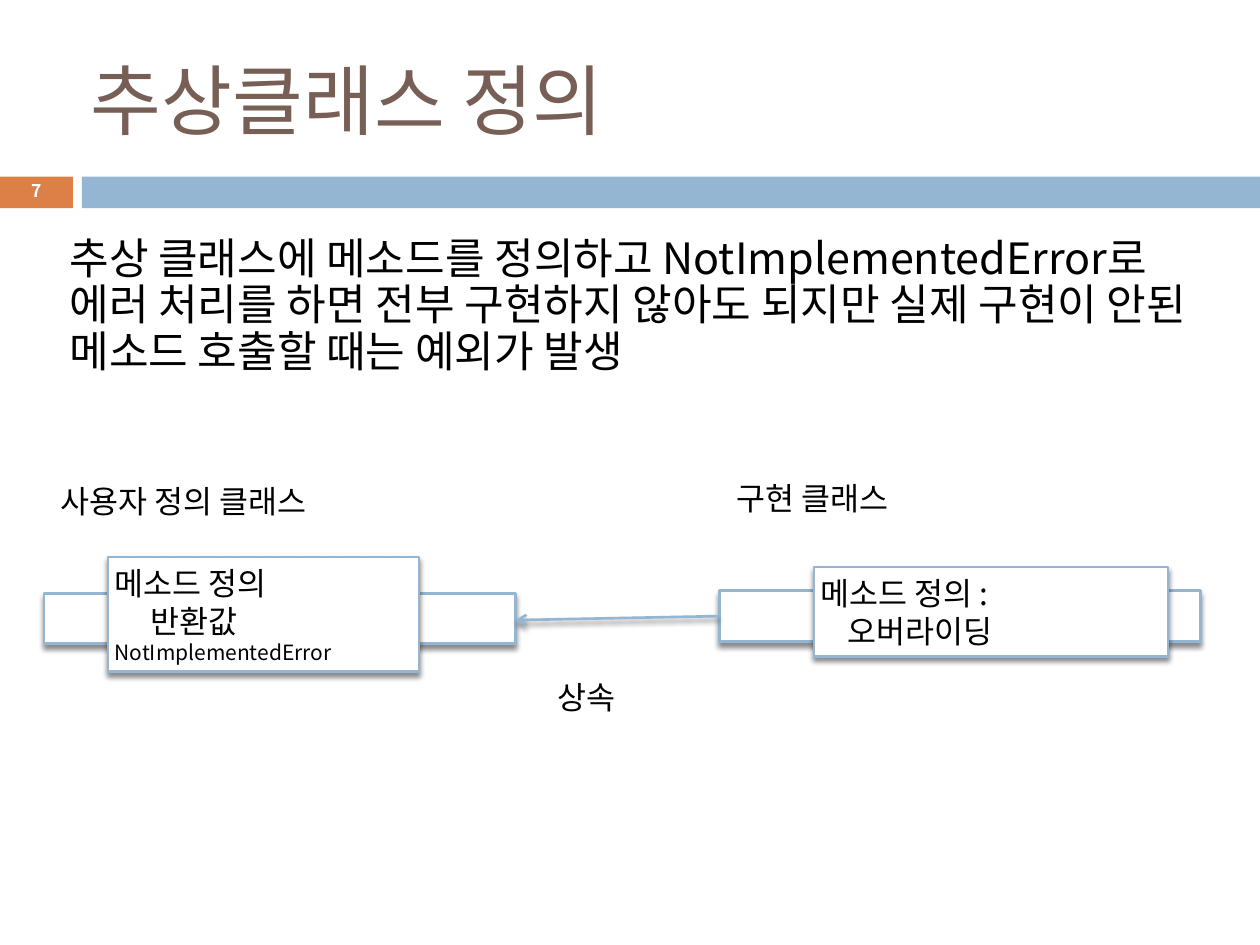
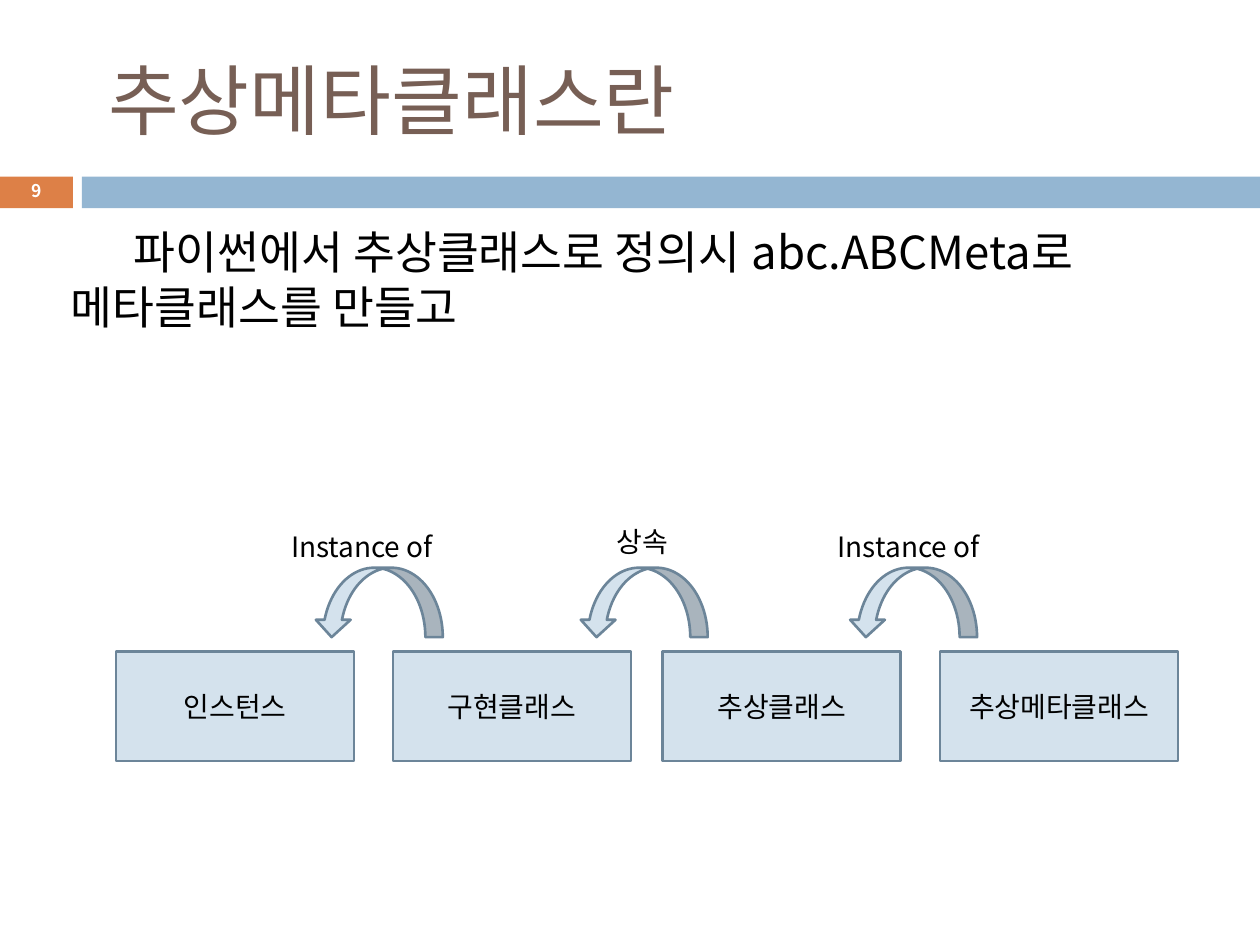
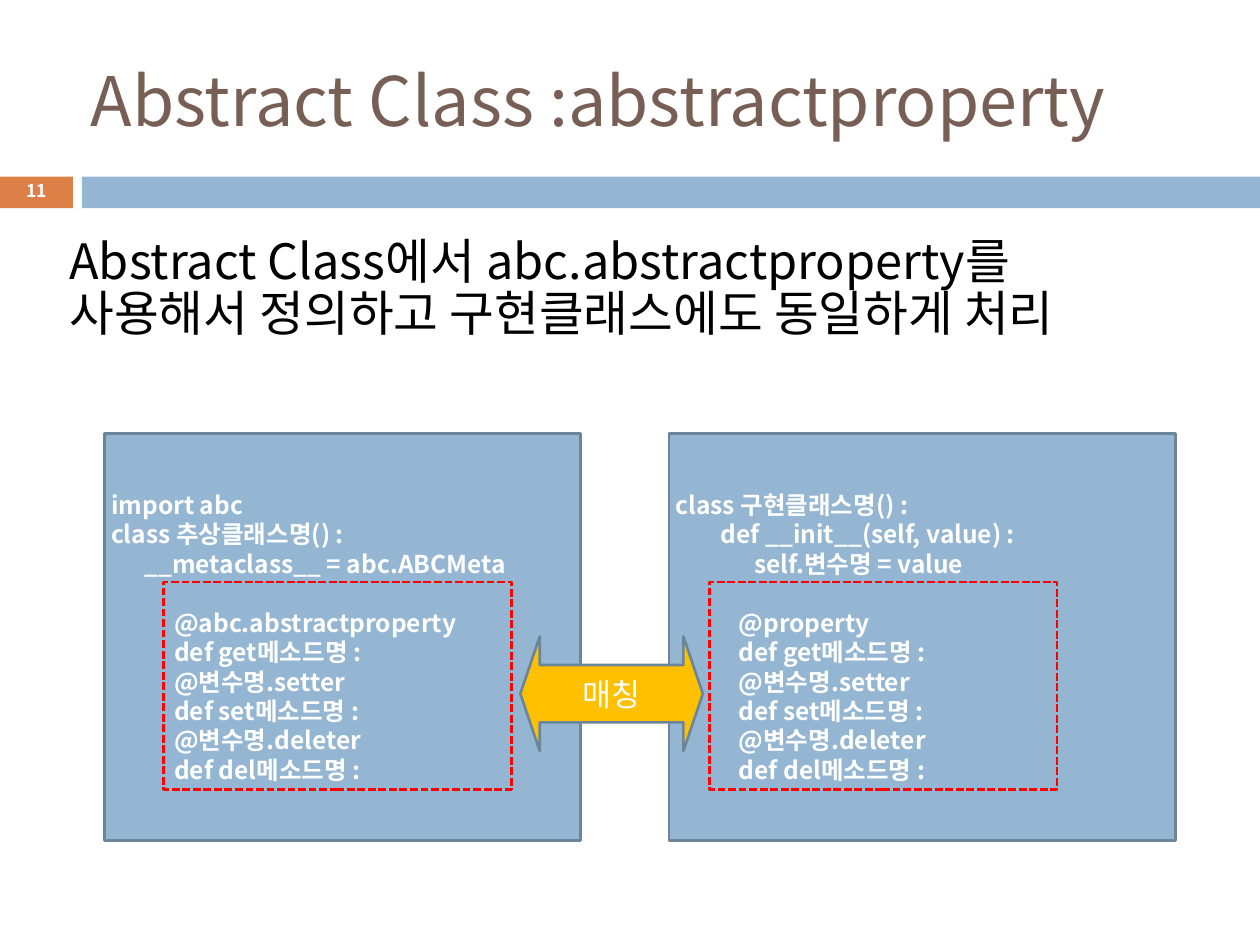
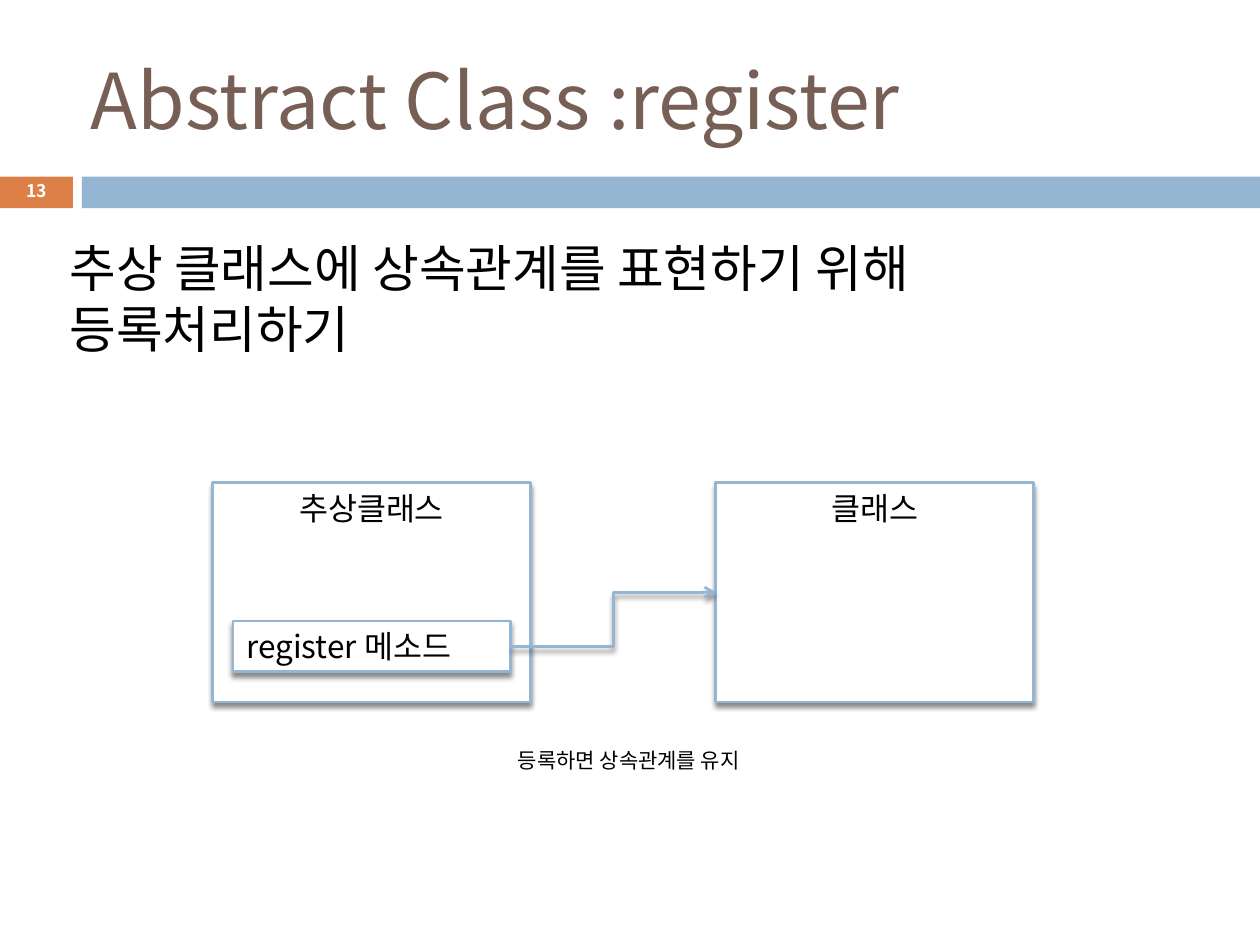
from dataclasses import dataclass
from typing import NamedTuple, Optional

import lxml.etree
import pptx
import pptx.dml.color
import pptx.enum.dml
import pptx.enum.shapes
import pptx.enum.text
import pptx.oxml.ns
import pptx.util

Cm = pptx.util.Cm
Pt = pptx.util.Pt
RGBColor = pptx.dml.color.RGBColor
ShapeKind = pptx.enum.shapes.MSO_SHAPE
ConnectorKind = pptx.enum.shapes.MSO_CONNECTOR
Align = pptx.enum.text.PP_ALIGN
Anchor = pptx.enum.text.MSO_ANCHOR
qn = pptx.oxml.ns.qn

FONT = "Noto Sans CJK KR"
BLACK = RGBColor(0x00, 0x00, 0x00)
WHITE = RGBColor(0xFF, 0xFF, 0xFF)
BROWN = RGBColor(0x77, 0x5F, 0x55)
ORANGE = RGBColor(0xDD, 0x80, 0x47)
BLUE = RGBColor(0x94, 0xB6, 0xD2)
PALE_BLUE = RGBColor(0xD4, 0xE2, 0xED)
SLATE = RGBColor(0x6C, 0x85, 0x99)
RED = RGBColor(0xFF, 0x00, 0x00)
GOLD = RGBColor(0xFF, 0xC0, 0x00)

LINE_WIDTH = Pt(1.5)
INSET = Cm(0.13)


class Box(NamedTuple):
    """Left, top, width and height in centimetres."""
    left: float
    top: float
    width: float
    height: float

    def lengths(self) -> list:
        return [Cm(value) for value in self]


class Span(NamedTuple):
    text: str
    size: float


@dataclass
class Line:
    """One paragraph; indent is that of its first line, in centimetres."""
    text: str
    size: float = 18
    color: RGBColor = BLACK
    bold: bool = False
    align: Align = Align.LEFT
    indent: float = 0
    spacing: float = 1
    before: float = 0
    tail: Optional[Span] = None


@dataclass
class Style:
    fill: Optional[RGBColor] = None
    line: Optional[RGBColor] = None
    shadow: bool = False
    dashed: bool = False


CARD = Style(WHITE, BLUE, shadow=True)
NODE = Style(PALE_BLUE, SLATE)
CODE_PANEL = Style(BLUE, SLATE)
DASHED_FRAME = Style(line=RED, dashed=True)

TITLE_BOX = Box(1.7, 0.63, 22.66, 2.74)
NUMBER_BAND = Box(0, 3.56, 1.47, 0.64)
TITLE_BAND = Box(1.65, 3.56, 23.75, 0.64)
NUMBER_BOX = Box(0.38, 3.53, 0.71, 0.69)


# Text
def write_lines(shape, lines: list[Line], anchor: Anchor, wrap: bool = True) -> None:
    frame = shape.text_frame
    frame.word_wrap = wrap
    frame.vertical_anchor = anchor
    frame.margin_left = frame.margin_right = INSET
    frame.margin_top = frame.margin_bottom = INSET
    for index, line in enumerate(lines):
        paragraph = frame.paragraphs[0] if index == 0 else frame.add_paragraph()
        paragraph.alignment = line.align
        paragraph.line_spacing = line.spacing
        paragraph.space_before = Pt(line.before)
        font = paragraph.font
        font.name = FONT
        font.size = Pt(line.size)
        font.bold = line.bold
        font.color.rgb = line.color
        lxml.etree.SubElement(font._element, qn("a:ea"), typeface=FONT)
        properties = paragraph._p.get_or_add_pPr()
        properties.set("marL", "0")
        properties.set("indent", str(Cm(line.indent)))
        paragraph.add_run().text = line.text
        if line.tail:
            run = paragraph.add_run()
            run.text = line.tail.text
            run.font.size = Pt(line.tail.size)


def add_text(slide, box: Box, *lines: Line, anchor: Anchor = Anchor.TOP,
             wrap: bool = True) -> None:
    write_lines(slide.shapes.add_textbox(*box.lengths()), list(lines), anchor, wrap)


# Shapes and connectors
def add_soft_shadow(effects) -> None:
    shadow = lxml.etree.SubElement(
        effects, qn("a:outerShdw"), blurRad=str(Pt(3)), dist=str(Pt(2.4)),
        dir="5400000", algn="ctr", rotWithShape="0")
    color = lxml.etree.SubElement(shadow, qn("a:srgbClr"), val=str(BLACK))
    lxml.etree.SubElement(color, qn("a:alpha"), val="45000")


def add_shape(slide, box: Box, style: Style, *lines: Line,
              anchor: Anchor = Anchor.MIDDLE, kind: ShapeKind = ShapeKind.RECTANGLE):
    shape = slide.shapes.add_shape(kind, *box.lengths())
    shape.shadow.inherit = False
    if style.shadow:
        add_soft_shadow(shape._element.spPr.find(qn("a:effectLst")))
    if style.fill is None:
        shape.fill.background()
    else:
        shape.fill.solid()
        shape.fill.fore_color.rgb = style.fill
    if style.line is None:
        shape.line.fill.background()
    else:
        shape.line.color.rgb = style.line
        shape.line.width = LINE_WIDTH
    if style.dashed:
        shape.line.dash_style = pptx.enum.dml.MSO_LINE.SQUARE_DOT
    if lines:
        write_lines(shape, list(lines), anchor)
    return shape


def add_arrow(slide, kind: ConnectorKind, start: tuple[float, float],
              end: tuple[float, float]) -> None:
    connector = slide.shapes.add_connector(
        kind, *[Cm(value) for value in start + end])
    connector.line.color.rgb = BLUE
    connector.line.width = LINE_WIDTH
    properties = connector._element.spPr
    lxml.etree.SubElement(properties.find(qn("a:ln")), qn("a:tailEnd"), type="arrow")
    add_soft_shadow(lxml.etree.SubElement(properties, qn("a:effectLst")))


# Title, bands and page number of every slide
def add_page(presentation, number: int, title: Line, body_box: Box, body: Line):
    slide = presentation.slides.add_slide(presentation.slide_layouts[6])
    add_shape(slide, NUMBER_BAND, Style(ORANGE))
    add_shape(slide, TITLE_BAND, Style(BLUE))
    title.color = BROWN
    add_text(slide, TITLE_BOX, title, anchor=Anchor.MIDDLE)
    add_text(slide, body_box, body)
    add_text(slide, NUMBER_BOX,
             Line(str(number), 10, WHITE, True, Align.CENTER, spacing=0.8),
             anchor=Anchor.MIDDLE, wrap=False)
    return slide


def build_definition(presentation) -> None:
    slide = add_page(
        presentation, 7, Line("추상클래스 정의", 44), Box(1.27, 4.65, 22.86, 4.88),
        Line("추상 클래스에 메소드를 정의하고 NotImplementedError로 에러 처리를 하면 "
             "전부 구현하지 않아도 되지만 실제 구현이 안된 메소드 호출할 때는 예외가 발생",
             24.6, spacing=0.9, before=7))
    # User-defined class
    add_shape(slide, Box(0.89, 11.96, 9.5, 1.02), CARD)
    add_text(slide, Box(1.09, 9.58, 7.49, 1.02), Line("사용자 정의 클래스"))
    add_shape(slide, Box(2.18, 11.23, 6.27, 2.31), CARD, Line("메소드 정의"),
              Line("반환값 ", indent=0.72, tail=Span("NotImplementedError", 12)))
    # Implementing class
    add_shape(slide, Box(14.5, 11.91, 9.7, 1.02), CARD)
    add_text(slide, Box(14.71, 9.53, 6.05, 1.02), Line("구현 클래스"))
    add_shape(slide, Box(16.41, 11.43, 7.14, 1.8), CARD, Line("메소드 정의 :"),
              Line("오버라이딩", indent=0.54))
    # Inheritance
    add_arrow(slide, ConnectorKind.STRAIGHT, (14.5, 12.42), (10.39, 12.5))
    add_text(slide, Box(11.1, 13.54, 2.39, 1.02), Line("상속"))


def build_metaclass(presentation) -> None:
    slide = add_page(
        presentation, 9, Line("추상메타클래스란", 44, indent=0.35),
        Box(1.3, 4.39, 22.86, 3.73),
        Line("파이썬에서 추상클래스로 정의시 abc.ABCMeta로 메타클래스를 만들고",
             26, indent=1.27, before=5))
    # Chain of classes
    nodes = {"인스턴스": 2.34, "구현클래스": 7.92, "추상클래스": 13.36,
             "추상메타클래스": 18.95}
    for name, left in nodes.items():
        add_shape(slide, Box(left, 13.13, 4.8, 2.21), NODE,
                  Line(name, 16, align=Align.CENTER))
    for left in (6.93, 12.27, 17.7):
        arrow = add_shape(slide, Box(left, 10.85, 1.4, 2.59), NODE,
                          kind=ShapeKind.CURVED_RIGHT_ARROW)
        arrow.rotation = 90
    # Relations
    add_text(slide, Box(5.74, 10.54, 4.6, 0.94), Line("Instance of", 16))
    add_text(slide, Box(11.33, 10.44, 3.25, 0.94),
             Line("상속", 16, align=Align.CENTER))
    add_text(slide, Box(16.76, 10.54, 3.99, 0.94), Line("Instance of", 16))


def code_line(text: str, indent: float = 0, before: float = 0) -> Line:
    return Line(text, 14, WHITE, True, indent=indent, before=before)


def accessor_lines(decorator: str) -> list[Line]:
    rest = ("def get메소드명 :", "@변수명.setter", "def set메소드명 :",
            "@변수명.deleter", "def del메소드명 :")
    return [code_line(decorator, 1.27, before=17)] + [
        code_line(text, 1.27) for text in rest]


def build_abstract_property(presentation) -> None:
    slide = add_page(
        presentation, 11, Line("Abstract Class :abstractproperty", 39),
        Box(1.27, 4.65, 22.86, 2.69),
        Line("Abstract Class에서 abc.abstractproperty를 사용해서 정의하고 "
             "구현클래스에도 동일하게 처리", 27.8, spacing=0.9, before=6))
    # Code panels
    add_shape(slide, Box(13.49, 8.74, 10.21, 8.2), CODE_PANEL,
              code_line("class 구현클래스명() :"),
              code_line("def __init__(self, value) :", 0.91),
              code_line("self.변수명 = value", 1.59),
              *accessor_lines("@property"))
    add_shape(slide, Box(2.11, 8.74, 9.6, 8.2), CODE_PANEL,
              code_line("import abc"),
              code_line("class 추상클래스명() :"),
              code_line("__metaclass__ = abc.ABCMeta", 0.67),
              *accessor_lines("@abc.abstractproperty"))
    # Matching parts
    for left in (3.3, 14.3):
        add_shape(slide, Box(left, 11.73, 7.01, 4.19), DASHED_FRAME)
    arrow = add_shape(slide, Box(10.49, 12.83, 3.68, 2.31), Style(GOLD, SLATE),
                      Line("매칭", color=WHITE, align=Align.CENTER),
                      kind=ShapeKind.LEFT_RIGHT_ARROW)
    arrow.adjustments[0] = 0.5
    arrow.adjustments[1] = 0.17


def build_register(presentation) -> None:
    slide = add_page(
        presentation, 13, Line("Abstract Class :register", 44),
        Box(1.27, 4.65, 22.86, 4.88),
        Line("추상 클래스에 상속관계를 표현하기 위해 등록처리하기", 29, before=7))
    # Classes and the registering method
    for name, left in (("추상클래스", 4.29), ("클래스", 14.43)):
        add_shape(slide, Box(left, 9.73, 6.4, 4.42), CARD,
                  Line(name, align=Align.CENTER), anchor=Anchor.TOP)
    add_shape(slide, Box(4.7, 12.52, 5.59, 1.02), CARD,
              Line("register 메소드", indent=0.14))
    add_arrow(slide, ConnectorKind.ELBOW, (10.31, 13.03), (14.43, 11.94))
    add_text(slide, Box(10.31, 14.94, 5.99, 0.76), Line("등록하면 상속관계를 유지", 12))


def main() -> None:
    presentation = pptx.Presentation()
    presentation.slide_width = Cm(25.4)
    presentation.slide_height = Cm(19.05)
    build_definition(presentation)
    build_metaclass(presentation)
    build_abstract_property(presentation)
    build_register(presentation)
    presentation.save("out.pptx")


if __name__ == "__main__":
    main()
